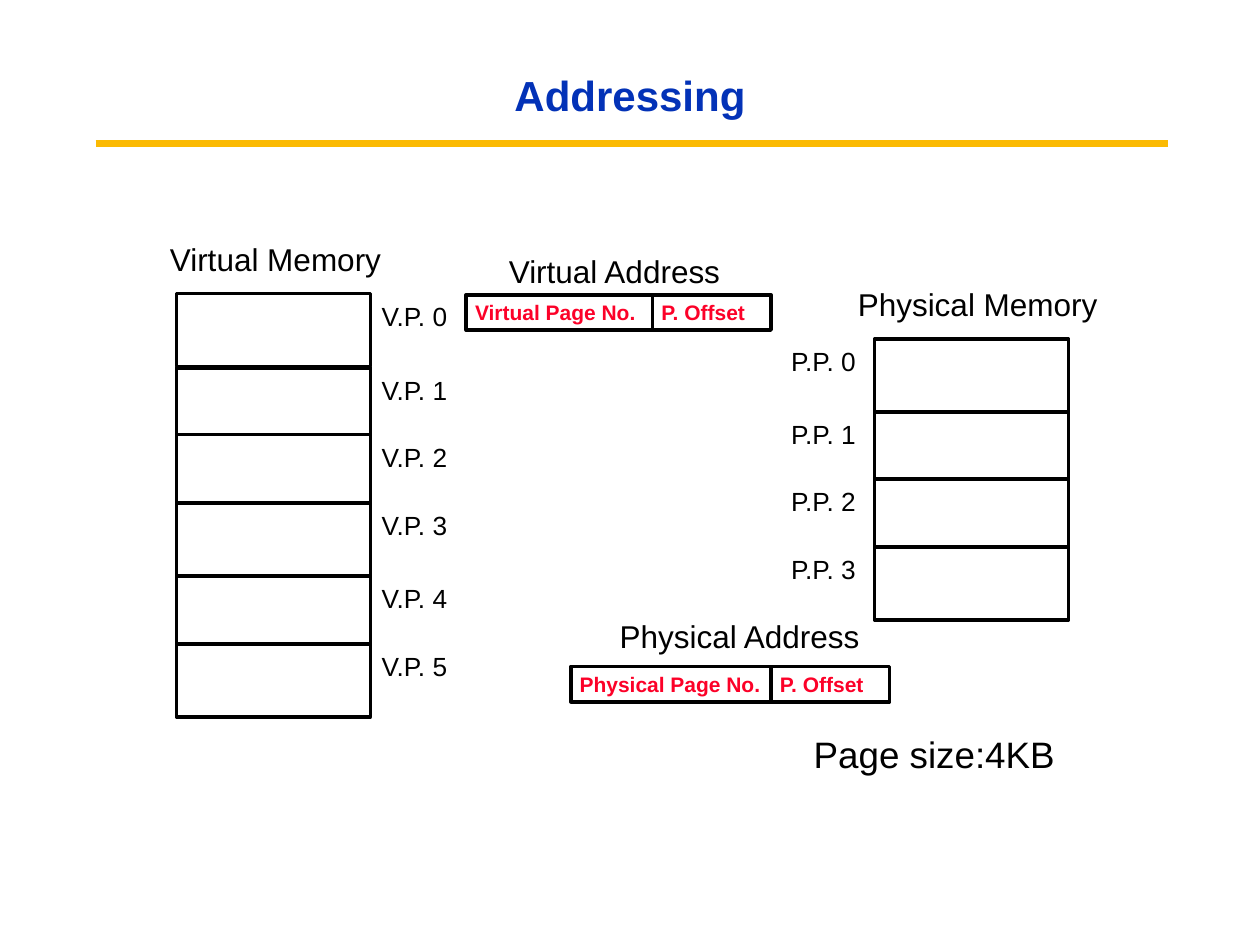
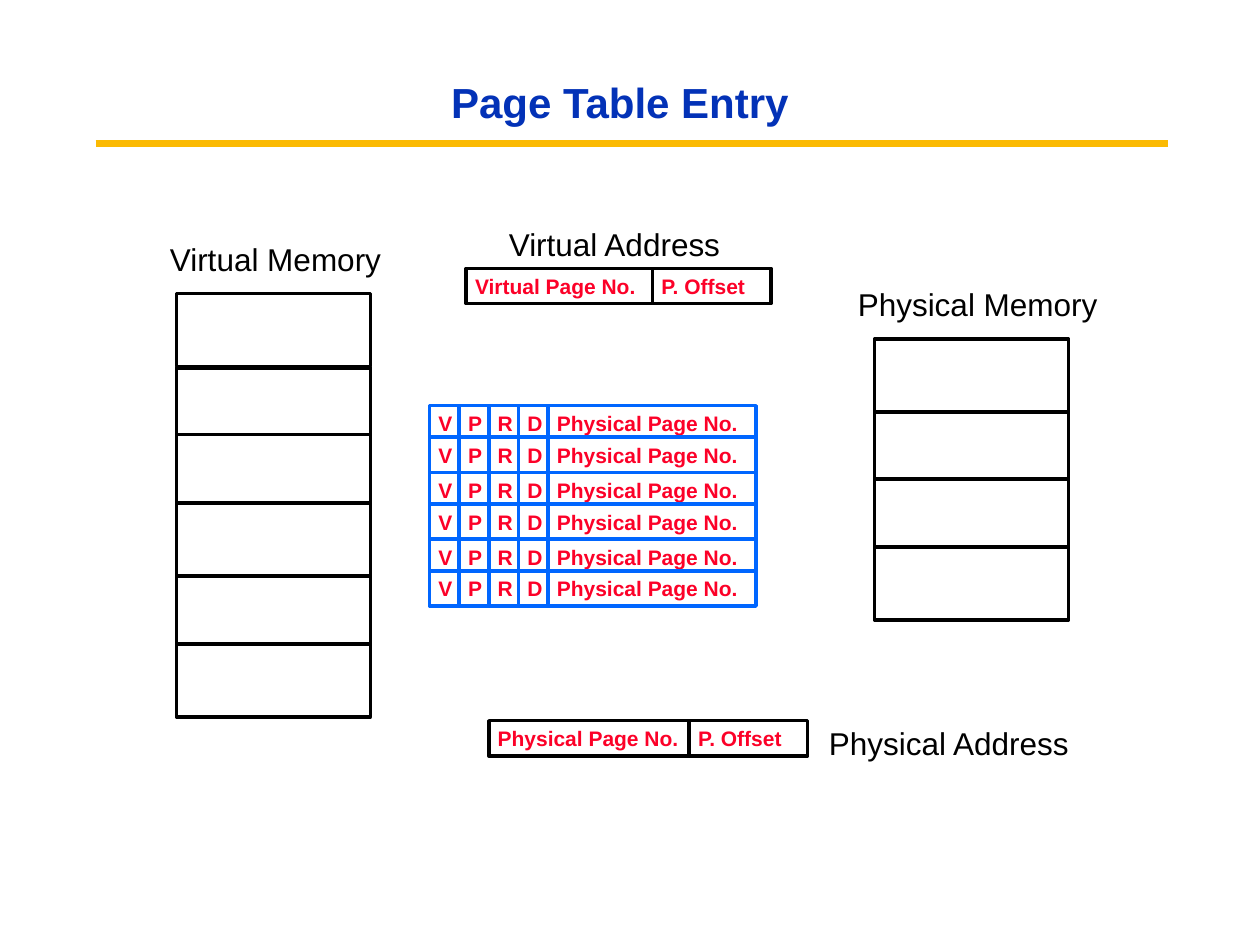
from itertools import accumulate

from lxml.etree import SubElement
from pptx import Presentation
from pptx.dml.color import RGBColor
from pptx.enum.shapes import MSO_CONNECTOR as Connector, MSO_SHAPE as Shape
from pptx.enum.text import MSO_ANCHOR as Anchor, PP_ALIGN as Align
from pptx.oxml.ns import qn
from pptx.util import Inches, Pt

FONT = "Arial"
BLACK, WHITE, RED = "000000", "FFFFFF", "FC0128"
TITLE_BLUE, TABLE_BLUE, GOLD = "0332B7", "0066FF", "FBBA03"

CELL_HEIGHT = 0.28
OFFSET_WIDTH = 0.94
PAGE_WIDTH, PAGE_HEIGHT = 1.54, 0.58
LABEL_WIDTH = 0.77
VIRTUAL_LEFT, VIRTUAL_TOPS = 1.4, (2.33, 2.92, 3.45, 3.99, 4.57, 5.11)
PHYSICAL_LEFT, PHYSICAL_TOPS = 6.94, (2.69, 3.27, 3.8, 4.34)
ENTRY_FIELDS = ("V", "P", "R", "D", "Physical Page No.")
ENTRY_WIDTHS = (0.235, 0.235, 0.235, 0.235, 1.65)


def color(value):
    return RGBColor.from_string(value)


def apply_format(target, values):
    for name, value in values.items():
        setattr(target, name, value)


def write_text(shape, text, size, text_color, bold=False, align=Align.LEFT):
    shape.text_frame.text = text
    shape.text_frame.word_wrap = True
    paragraph = shape.text_frame.paragraphs[0]
    paragraph.alignment = align
    apply_format(paragraph.font, {"name": FONT, "size": Pt(size), "bold": bold})
    paragraph.font.color.rgb = color(text_color)
    return paragraph


def add_titled_slide(presentation, title, left, top):
    slide = presentation.slides.add_slide(presentation.slide_layouts[5])
    rule = slide.shapes.add_connector(
        Connector.STRAIGHT, Inches(0.76), Inches(1.14), Inches(9.27), Inches(1.14))
    rule.line.color.rgb = color(GOLD)
    rule.line.width = Pt(3.75)
    SubElement(rule._element.spPr, qn("a:effectLst"))
    heading = slide.shapes.title
    apply_format(heading, {"left": Inches(left), "top": Inches(top),
                           "width": Inches(7.5), "height": Inches(0.6)})
    heading.text_frame.vertical_anchor = Anchor.MIDDLE
    paragraph = write_text(heading, title, 24, TITLE_BLUE, True, Align.CENTER)
    paragraph.line_spacing = 0.9
    return slide


def add_label(slide, text, left, top, width=2.13, height=0.4, size=18):
    box = slide.shapes.add_textbox(
        Inches(left), Inches(top), Inches(width), Inches(height))
    write_text(box, text, size, BLACK)


def add_box(slide, left, top, width, height, line_color=BLACK):
    box = slide.shapes.add_shape(
        Shape.RECTANGLE, Inches(left), Inches(top), Inches(width), Inches(height))
    box.shadow.inherit = False
    box.fill.solid()
    box.fill.fore_color.rgb = color(WHITE)
    box.line.color.rgb = color(line_color)
    box.line.width = Pt(2)
    return box


def add_field_row(slide, left, top, fields, widths, line_color=BLACK):
    lefts = accumulate(widths, initial=left)
    for text, field_left, width in zip(fields, lefts, widths):
        box = add_box(slide, field_left, top, width, CELL_HEIGHT, line_color)
        apply_format(box.text_frame, {
            "margin_left": Inches(0.07), "margin_right": Inches(0.07),
            "margin_top": Inches(0.04), "margin_bottom": Inches(0.04),
            "vertical_anchor": Anchor.MIDDLE})
        write_text(box, text, 12, RED, True)


def add_address(slide, kind, left, top, page_number_width, label_left, label_top):
    add_field_row(slide, left, top, (f"{kind} Page No.", "P. Offset"),
                  (page_number_width, OFFSET_WIDTH))
    add_label(slide, f"{kind} Address", label_left, label_top)


def add_memories(slide):
    add_label(slide, "Physical Memory", 6.71, 2.21)
    add_label(slide, "Virtual Memory", 1.25, 1.86)
    for left, tops in ((PHYSICAL_LEFT, PHYSICAL_TOPS), (VIRTUAL_LEFT, VIRTUAL_TOPS)):
        for top in tops:
            add_box(slide, left, top, PAGE_WIDTH, PAGE_HEIGHT)


def add_page_labels(slide, prefix, left, tops):
    for number, top in enumerate(tops):
        add_label(slide, f"{prefix} {number}", left, top, LABEL_WIDTH, 0.35, 15)


def add_page_table(slide):
    for row in range(len(VIRTUAL_TOPS)):
        pair, second = divmod(row, 2)
        top = 3.22 + 0.53 * pair + 0.25 * second
        add_field_row(slide, 3.41, top, ENTRY_FIELDS, ENTRY_WIDTHS, TABLE_BLUE)


def build_addressing(presentation):
    slide = add_titled_slide(presentation, "Addressing", 1.25, 0.48)
    add_memories(slide)
    add_label(slide, "Page size:4KB", 6.36, 5.76, 2.19, 0.45, 21)
    add_page_labels(slide, "P.P.", PHYSICAL_LEFT - LABEL_WIDTH + 0.01, PHYSICAL_TOPS)
    add_page_labels(slide, "V.P.", VIRTUAL_LEFT + PAGE_WIDTH - 0.01, VIRTUAL_TOPS)
    add_address(slide, "Virtual", 3.7, 2.34, 1.48, 3.94, 1.95)
    add_address(slide, "Physical", 4.53, 5.29, 1.59, 4.82, 4.85)


def build_page_table_entry(presentation):
    slide = add_titled_slide(presentation, "Page Table Entry", 1.17, 0.53)
    add_memories(slide)
    add_address(slide, "Virtual", 3.7, 2.13, 1.48, 3.94, 1.74)
    add_address(slide, "Physical", 3.88, 5.72, 1.59, 6.48, 5.7)
    add_page_table(slide)


def main():
    presentation = Presentation()
    presentation.slide_width = Inches(10)
    presentation.slide_height = Inches(7.5)
    build_addressing(presentation)
    build_page_table_entry(presentation)
    presentation.save("out.pptx")


if __name__ == "__main__":
    main()
